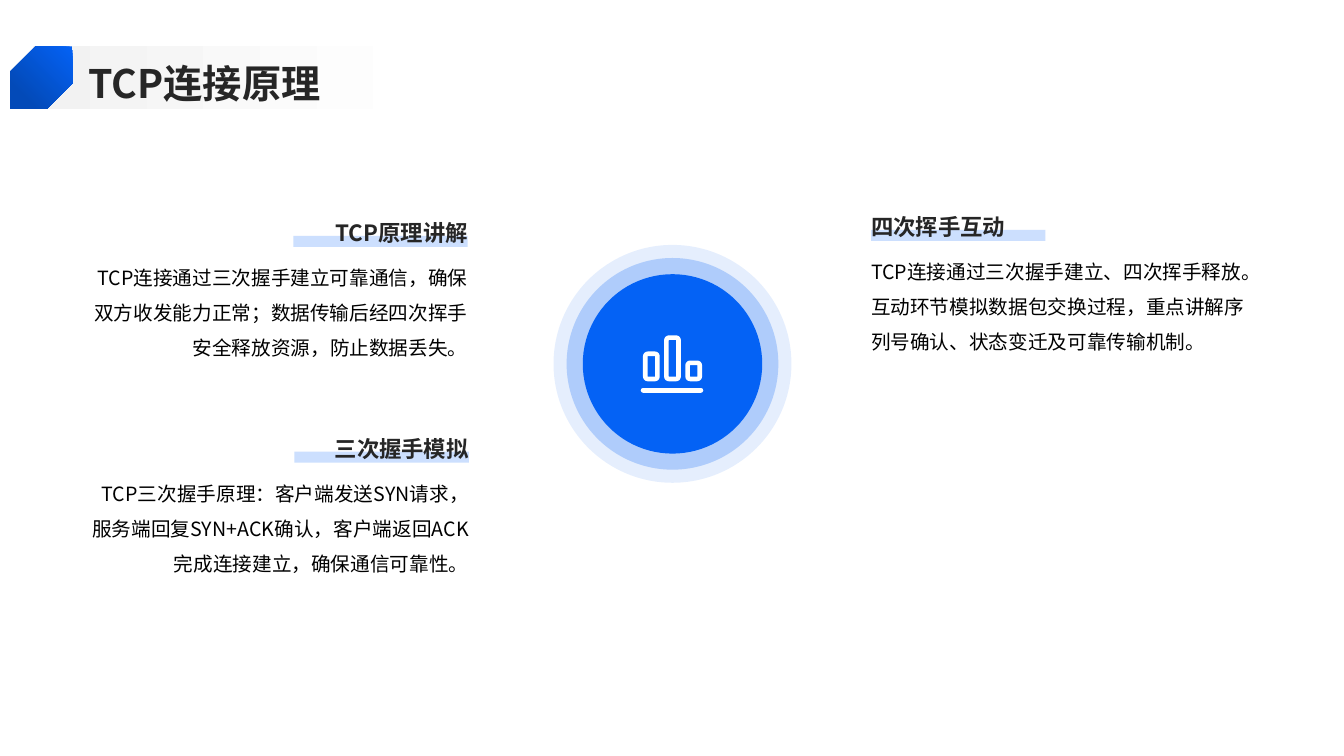
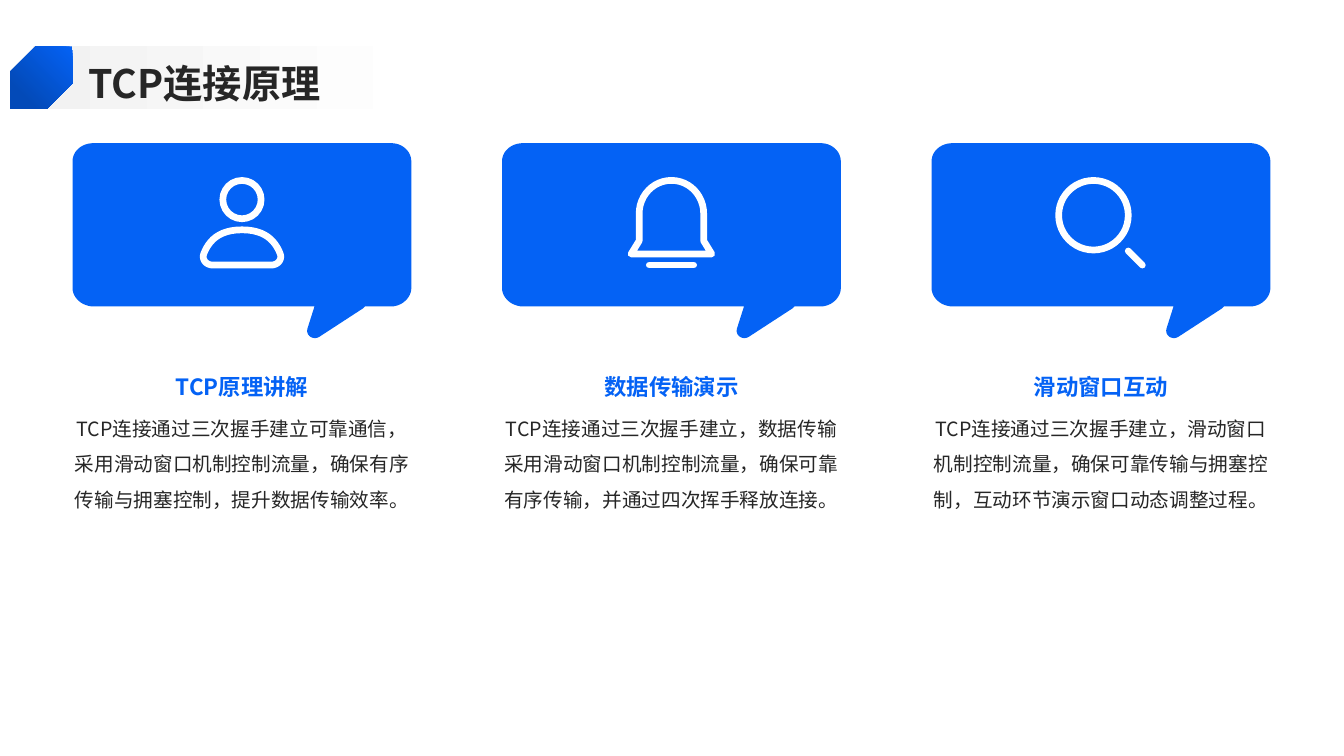
from dataclasses import dataclass

from lxml.etree import SubElement
from pptx import Presentation
from pptx.dml.color import RGBColor
from pptx.enum.dml import MSO_LINE
from pptx.enum.shapes import MSO_CONNECTOR, MSO_SHAPE
from pptx.enum.text import MSO_ANCHOR, MSO_AUTO_SIZE, PP_ALIGN
from pptx.oxml.ns import qn
from pptx.util import Pt

PX = 9144  # EMU in one px, 100 px to the inch


@dataclass(frozen=True)
class Theme:
    font: str = "Noto Sans CJK SC"
    blue: str = "0462F5"
    navy: str = "034AB8"
    pale: str = "CCDFFE"
    grey: str = "F2F2F2"
    white: str = "FFFFFF"
    ink: str = "262626"
    black: str = "000000"
    title: int = 28
    head: int = 16
    body: int = 14


THEME = Theme()
LEFT, MID, RIGHT = PP_ALIGN.LEFT, PP_ALIGN.CENTER, PP_ALIGN.RIGHT


# Basic parts
def rgb(code):
    return RGBColor.from_string(code)


def scale(*nums):
    return [round(n * PX) for n in nums]


def paint(shape, color=None, alpha=None, line=None, width=0):
    """Set fill and outline, with no shadow."""
    shape.shadow.inherit = False
    if color:
        shape.fill.solid()
        shape.fill.fore_color.rgb = rgb(color)
        if alpha:
            clr = shape.fill._xPr.find(".//" + qn("a:srgbClr"))
            SubElement(clr, qn("a:alpha")).set("val", str(alpha * 1000))
    else:
        shape.fill.background()
    if line:
        shape.line.color.rgb = rgb(line)
        shape.line.width = Pt(width)
        SubElement(shape.line._get_or_add_ln(), qn("a:round"))
    else:
        shape.line.fill.background()
    return shape


def form(slide, kind, box, **look):
    return paint(slide.shapes.add_shape(kind, *scale(*box)), **look)


def fade(shape, start, end, angle):
    """Blend two colours, the second reached at 80 percent."""
    shape.fill.gradient()
    shape.fill.gradient_angle = angle
    for stop, color, pos in zip(shape.fill.gradient_stops, (start, end), (0, 0.8)):
        stop.color.rgb = rgb(color)
        stop.position = pos


def stroke(slide, ends, width):
    """Draw a white line with round ends."""
    line = slide.shapes.add_connector(MSO_CONNECTOR.STRAIGHT, *scale(*ends))
    line.line.color.rgb = rgb(THEME.white)
    line.line.width = Pt(width)
    line.line.dash_style = MSO_LINE.SOLID
    line.line._get_or_add_ln().set("cap", "rnd")
    SubElement(line._element.spPr, qn("a:effectLst"))


def trace(slide, left, top, start, steps, **look):
    """Draw a closed outline: steps of 2 numbers are lines, of 6 are curves."""
    pts = [start]
    for step in steps:
        if len(step) == 2:
            pts.append(step)
            continue
        a, b, c, d = pts[-1], step[:2], step[2:4], step[4:]
        for t in (i / 12 for i in range(1, 13)):
            u = 1 - t
            pts.append(tuple(
                u**3 * p + 3 * u * u * t * q + 3 * u * t * t * r + t**3 * s
                for p, q, r, s in zip(a, b, c, d)))
    first, *rest = [scale(left + x, top + y) for x, y in pts]
    path = slide.shapes.build_freeform(*first)
    path.add_line_segments(rest, close=True)
    return paint(path.convert_to_shape(), **look)


def write(frame, text, size, color, bold=False, align=LEFT, space=1.5,
          anchor=MSO_ANCHOR.TOP):
    frame.word_wrap = True
    frame.auto_size = MSO_AUTO_SIZE.NONE
    frame.vertical_anchor = anchor
    frame.margin_left = frame.margin_right = 0
    frame.margin_top = frame.margin_bottom = 0
    para = frame.paragraphs[0]
    para.alignment = align
    para.line_spacing = space
    run = para.add_run()
    run.text = text
    run.font.size = Pt(size)
    run.font.bold = bold
    run.font.color.rgb = rgb(color)
    run.font.name = THEME.font
    SubElement(run._r.get_or_add_rPr(), qn("a:ea")).set("typeface", THEME.font)


def label(slide, box, text, **look):
    write(slide.shapes.add_textbox(*scale(*box)).text_frame, text, **look)


# Title band, shared by all slides
def open_slide(deck, text):
    slide = deck.slides.add_slide(deck.slide_layouts[5])
    title = slide.shapes.title
    title.left, title.top, title.width, title.height = scale(88, 54, 1188, 51)
    write(title.text_frame, text, size=THEME.title, color=THEME.ink, bold=True,
          space=1.1, anchor=MSO_ANCHOR.MIDDLE)
    band = form(slide, MSO_SHAPE.RECTANGLE, (33, 46, 492, 62))
    fade(band, THEME.grey, THEME.white, 0)
    title.element.addprevious(band.element)
    mark = form(slide, MSO_SHAPE.SNIP_2_DIAG_RECTANGLE, (10, 46, 62, 62))
    mark.adjustments[0], mark.adjustments[1] = 0, 0.408
    mark._element.spPr.xfrm.set("flipH", "1")
    fade(mark, THEME.blue, THEME.navy, 315)
    return slide


# Topic: heading on a pale bar, then a paragraph
def topic(slide, left, top, head, body, align):
    wide, bar = 374, 173
    shift = wide - bar if align == RIGHT else 0
    form(slide, MSO_SHAPE.RECTANGLE, (left + shift, top + 37, bar, 11),
         color=THEME.pale)
    label(slide, (left, top, wide, 47), head, size=THEME.head, color=THEME.ink,
          bold=True, align=align, anchor=MSO_ANCHOR.BOTTOM)
    label(slide, (left, top + 55, wide, 151), body, size=THEME.body,
          color=THEME.black, align=align)


# Centre disc with a bar icon
def disc(slide, x, y):
    for size, alpha in ((236, 10), (210, 24), (178, None)):
        form(slide, MSO_SHAPE.OVAL, (x - size / 2, y - size / 2, size, size),
             color=THEME.blue, alpha=alpha)
    base = y + 15
    for i, tall in enumerate((25, 41, 16)):
        bar = form(slide, MSO_SHAPE.ROUNDED_RECTANGLE,
                   (x - 27 + 21 * i, base - tall, 12, tall),
                   line=THEME.white, width=3.3)
        bar.adjustments[0] = 0.2
    stroke(slide, (x - 29, y + 26, x + 28, y + 26), 3.6)


# Icons, placed from the corner of their bubble
PEN = dict(line=THEME.white, width=4.8)


def person(slide, x, y):
    form(slide, MSO_SHAPE.OVAL, (x + 149, y + 37, 38, 38), **PEN)
    trace(slide, x, y, (168, 86), [
        (145, 86, 135, 97, 130, 110), (128, 116, 133, 121, 139, 121),
        (197, 121), (203, 121, 208, 116, 206, 110),
        (201, 97, 191, 86, 168, 86)], **PEN)


def bell(slide, x, y):
    trace(slide, x, y, (168, 37), [
        (150, 37, 136, 52, 136, 70), (136, 97), (128, 110), (208, 110),
        (200, 97), (200, 70), (200, 52, 186, 37, 168, 37)], **PEN)
    stroke(slide, (x + 146, y + 121, x + 190, y + 121), PEN["width"])


def lens(slide, x, y):
    form(slide, MSO_SHAPE.OVAL, (x + 126, y + 37, 69, 69), **PEN)
    stroke(slide, (x + 195, y + 107, x + 209, y + 121), PEN["width"])


# Card: speech bubble with an icon, heading and paragraph
def card(slide, left, top, icon, head, body):
    wide = 336
    trace(slide, left, top, (316, 0), [
        (21, 0), (9, 0, 0, 8, 0, 18), (0, 144), (0, 153, 9, 162, 21, 162),
        (240, 162), (233, 184), (231, 191, 239, 196, 245, 192), (288, 164),
        (290, 162), (316, 162), (327, 162, 336, 153, 336, 144), (336, 18),
        (336, 8, 327, 0, 316, 0)], color=THEME.blue)
    icon(slide, left, top)
    label(slide, (left, top + 207, wide, 48), head, size=THEME.head,
          color=THEME.blue, bold=True, align=MID, space=1.3,
          anchor=MSO_ANCHOR.BOTTOM)
    label(slide, (left, top + 260, wide, 275), body, size=THEME.body,
          color=THEME.ink, align=MID)


TITLE = "TCP连接原理"
TOPICS = [
    (90, 197, "TCP原理讲解",
     "TCP连接通过三次握手建立可靠通信，确保双方收发能力正常；"
     "数据传输后经四次挥手安全释放资源，防止数据丢失。", RIGHT),
    (91, 411, "三次握手模拟",
     "TCP三次握手原理：客户端发送SYN请求，服务端回复SYN+ACK确认，"
     "客户端返回ACK完成连接建立，确保通信可靠性。", RIGHT),
    (864, 191, "四次挥手互动",
     "TCP连接通过三次握手建立、四次挥手释放。互动环节模拟数据包交换过程，"
     "重点讲解序列号确认、状态变迁及可靠传输机制。", LEFT),
]
CARDS = [
    (person, "TCP原理讲解",
     "TCP连接通过三次握手建立可靠通信，采用滑动窗口机制控制流量，"
     "确保有序传输与拥塞控制，提升数据传输效率。"),
    (bell, "数据传输演示",
     "TCP连接通过三次握手建立，数据传输采用滑动窗口机制控制流量，"
     "确保可靠有序传输，并通过四次挥手释放连接。"),
    (lens, "滑动窗口互动",
     "TCP连接通过三次握手建立，滑动窗口机制控制流量，"
     "确保可靠传输与拥塞控制，互动环节演示窗口动态调整过程。"),
]


def main():
    deck = Presentation()
    deck.slide_width, deck.slide_height = scale(1333, 750)

    slide = open_slide(deck, TITLE)
    for item in TOPICS:
        topic(slide, *item)
    disc(slide, 667, 361)

    slide = open_slide(deck, TITLE)
    for i, item in enumerate(CARDS):
        card(slide, 72 + 426 * i, 142, *item)

    deck.save("out.pptx")


if __name__ == "__main__":
    main()
